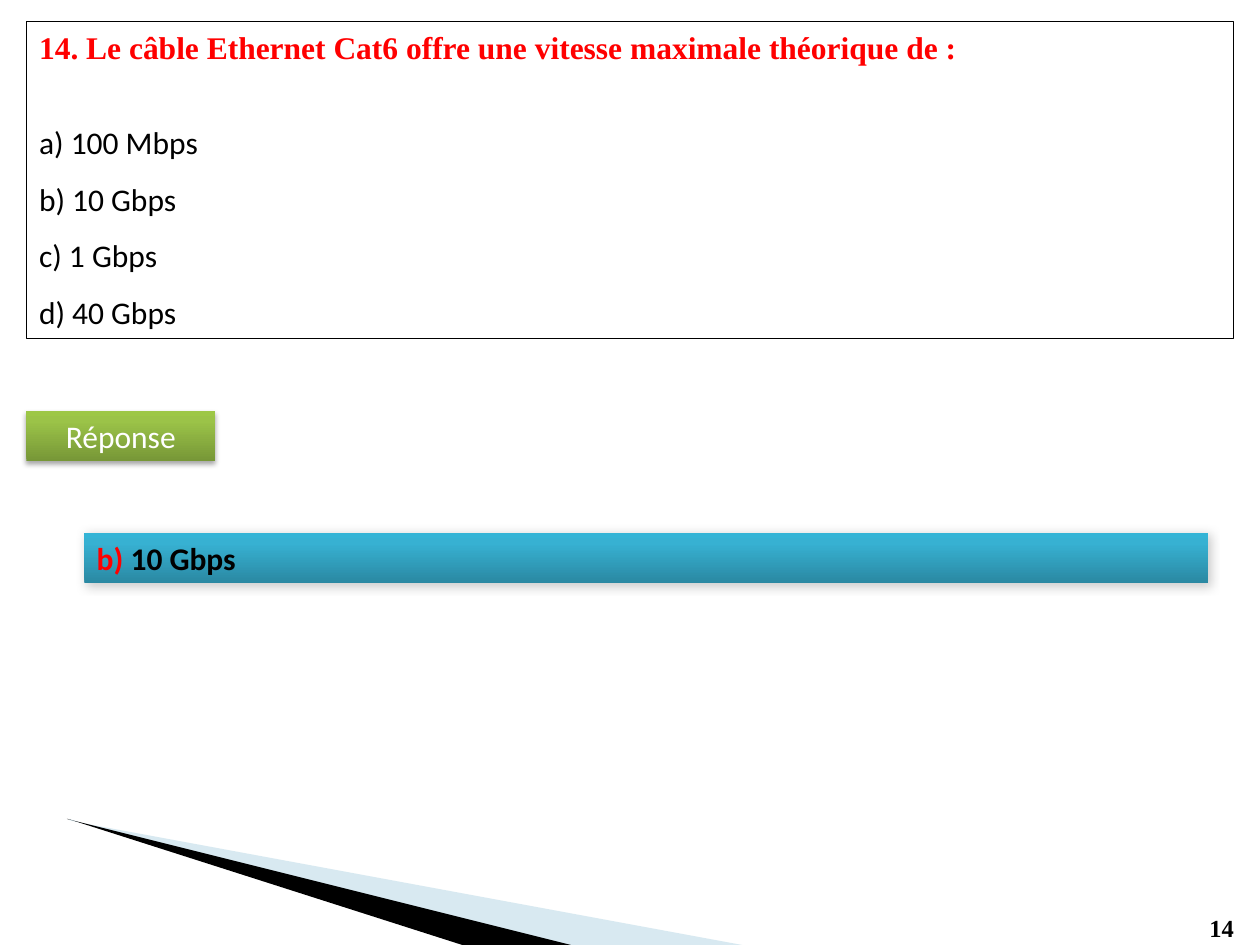
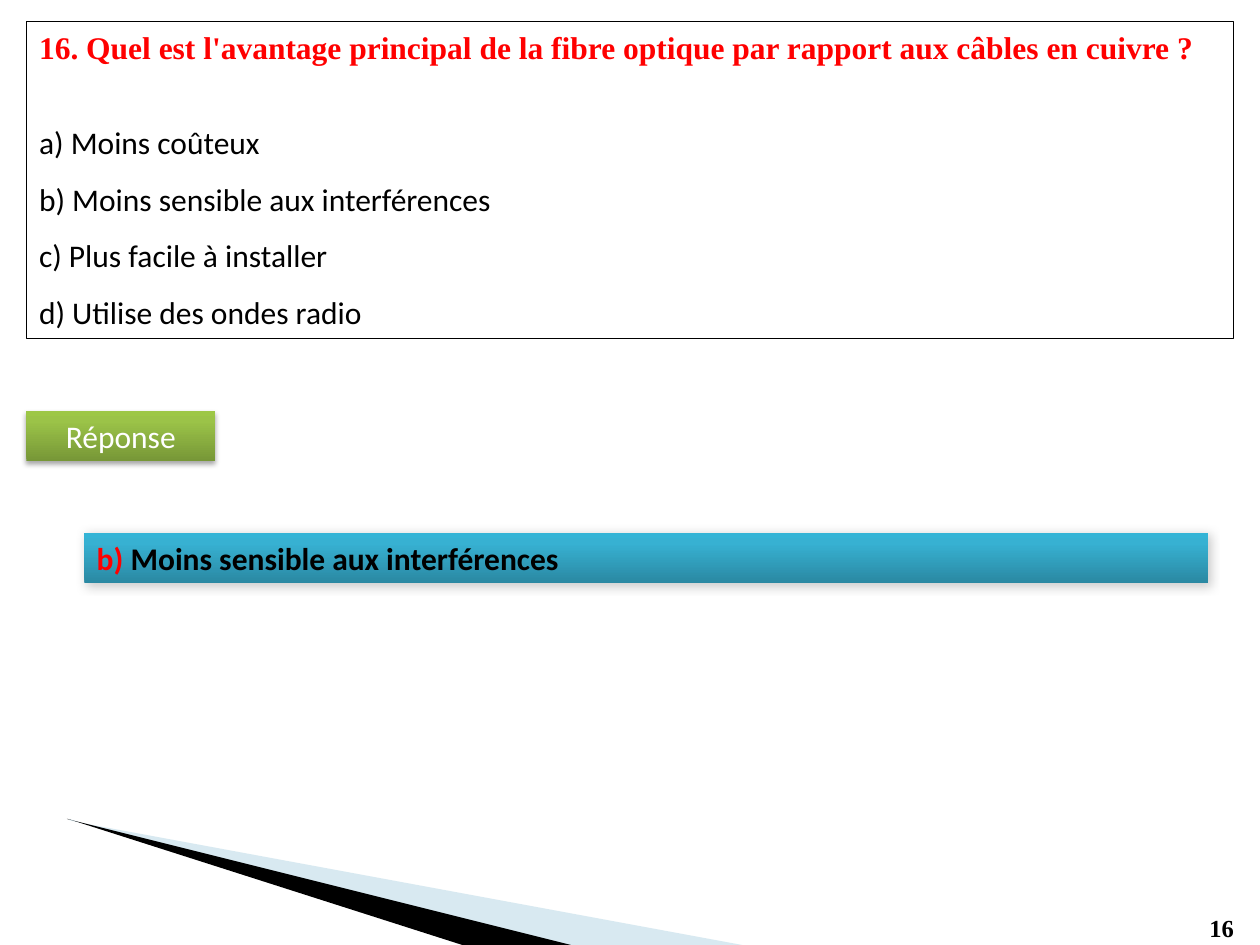
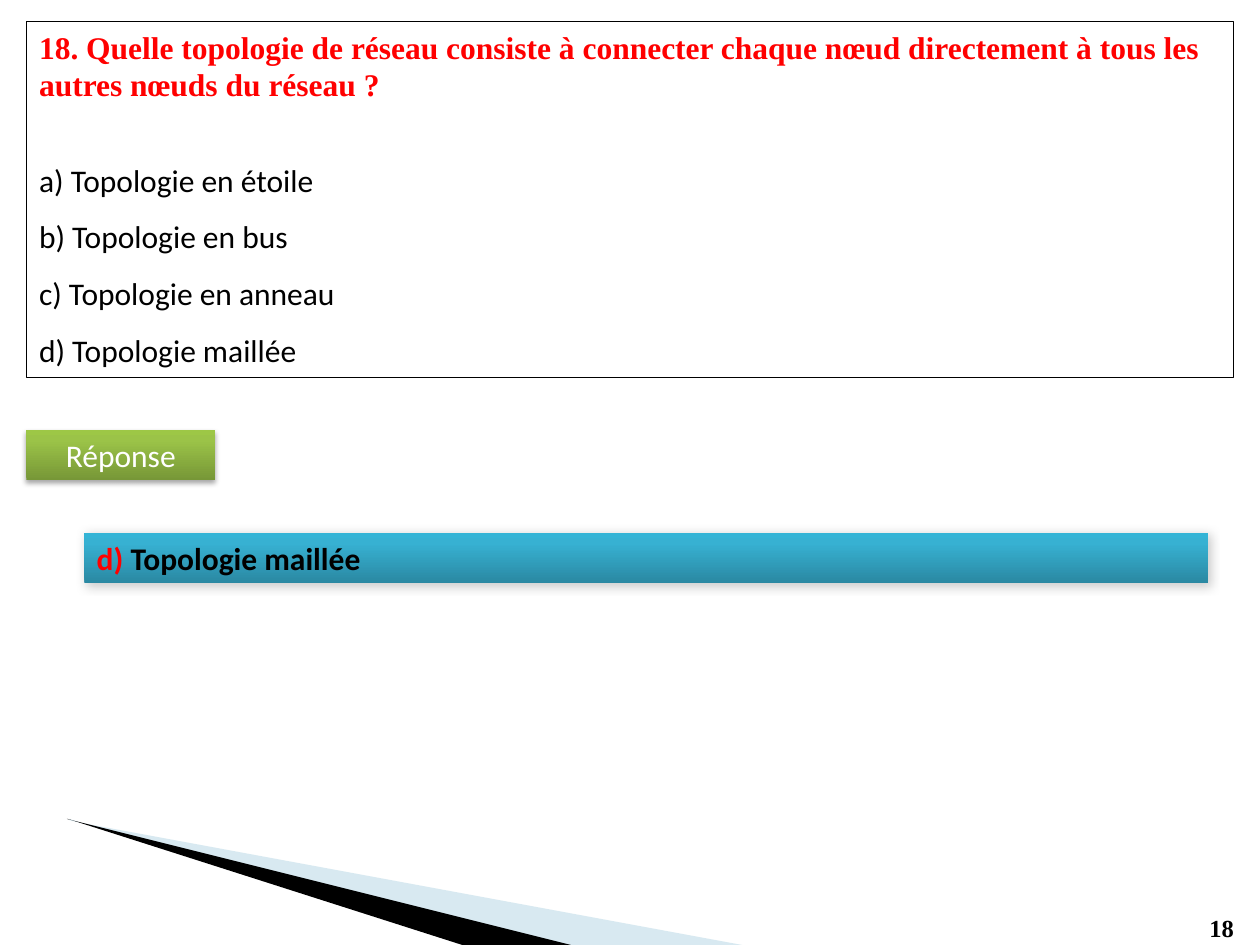
from dataclasses import dataclass

from pptx import Presentation
from pptx.dml.color import RGBColor
from pptx.enum.shapes import MSO_SHAPE
from pptx.enum.text import MSO_ANCHOR as ANCHOR, MSO_AUTO_SIZE as FIT, PP_ALIGN as ALIGN
from pptx.oxml import parse_xml
from pptx.oxml.ns import nsdecls
from pptx.util import Pt

QUESTIONS = [
    dict(number=14, lines=1, correct=1,
         text="Le câble Ethernet Cat6 offre une vitesse maximale théorique de :",
         options=["100 Mbps", "10 Gbps", "1 Gbps", "40 Gbps"]),
    dict(number=16, lines=1, correct=1,
         text="Quel est l'avantage principal de la fibre optique par rapport aux câbles en cuivre ?",
         options=["Moins coûteux", "Moins sensible aux interférences",
                  "Plus facile à installer", "Utilise des ondes radio"]),
    dict(number=18, lines=2, correct=3,
         text="Quelle topologie de réseau consiste à connecter chaque nœud directement "
              "à tous les autres nœuds du réseau ?",
         options=["Topologie en étoile", "Topologie en bus",
                  "Topologie en anneau", "Topologie maillée"]),
]
BUTTON_TEXT = "Réponse"
LETTERS = "abcd"


@dataclass(frozen=True)
class Theme:
    black: str = "000000"
    red: str = "FF0000"
    white: str = "FFFFFF"
    pale: str = "9FCADC"
    green: tuple = ((0, "779737"), (80, "9BC348"), (100, "9DC746"))
    blue: tuple = ((0, "2A88A2"), (80, "37B1D2"), (100, "34B4D6"))
    button_shadow: tuple = (35, 3.1, 1.8, 90)
    answer_shadow: tuple = (20, 6, 1, 45)
    serif: str = "Times New Roman"
    sans: str = "Calibri"
    body: int = 18
    small: int = 14


T = Theme()
SLIDE_W, SLIDE_H = 720, 540
BOX_X, BOX_Y, BOX_W = 15.1, 12.2, 689.8
BOX_H, LINE_H, OPTIONS_GAP = 181.4, 22, 22
BUTTON_W, BAR_H = 108, 28.8
ANSWER_X, ANSWER_Y, ANSWER_W = 48.2, 304.6, 642.2
NUMBER_AT = (684, 518.4, 34.6, 24.5)
WEDGES = [
    (T.pale, 40, [[(46.1, 470.2), (324.7, 540), (424.1, 540)],
                  [(39.6, 468), (39.6, 468.7), (46.1, 470.2)]]),
    (T.black, 100, [[(38.2, 468), (38.9, 468), (264.2, 540), (326.2, 540)]]),
]


def points(*values):
    return [Pt(v) for v in values]


def add_run(p, text, font, size, color, bold=False):
    r = p.add_run()
    r.text = text
    for name, value in dict(name=font, size=Pt(size), bold=bold).items():
        setattr(r.font, name, value)
    r.font.color.rgb = RGBColor.from_string(color)


def set_frame(tf, anchor=ANCHOR.TOP):
    for name, value in dict(word_wrap=True, auto_size=FIT.NONE, vertical_anchor=anchor).items():
        setattr(tf, name, value)


def add_wedges(slide, layout):
    for i, (color, opacity, outlines) in enumerate(WEDGES):
        builder = None
        for outline in outlines:
            start, *rest = [points(*xy) for xy in outline]
            if builder is None:
                builder = slide.shapes.build_freeform(*start, scale=1.0)
            else:
                builder.move_to(*start)
            builder.add_line_segments(rest, close=True)
        sp = builder.convert_to_shape()
        sp.shadow.inherit = False
        sp.line.fill.background()
        sp.fill.solid()
        sp.fill.fore_color.rgb = RGBColor.from_string(color)
        if opacity < 100:
            clr = sp.element.spPr.find(".//{*}solidFill/{*}srgbClr")
            clr.append(parse_xml(f'<a:alpha {nsdecls("a")} val="{opacity * 1000}"/>'))
        sp.element.nvSpPr.cNvPr.set("id", str(20 + i))
        layout.shapes.element.append(sp.element)


def add_bar(slide, at, stops, shadow, align):
    sp = slide.shapes.add_shape(MSO_SHAPE.RECTANGLE, *points(*at))
    sp.line.fill.background()
    gs = "".join(f'<a:gs pos="{pos * 1000}"><a:srgbClr val="{color}"/></a:gs>'
                 for pos, color in stops)
    sp.element.spPr.find("{*}ln").addprevious(parse_xml(
        f'<a:gradFill {nsdecls("a")} rotWithShape="1"><a:gsLst>{gs}</a:gsLst>'
        '<a:lin ang="16200000" scaled="0"/></a:gradFill>'))
    opacity, blur, dist, angle = shadow
    sp.element.spPr.append(parse_xml(
        f'<a:effectLst {nsdecls("a")}><a:outerShdw blurRad="{Pt(blur)}" dist="{Pt(dist)}" '
        f'dir="{angle * 60000}" rotWithShape="0"><a:srgbClr val="{T.black}">'
        f'<a:alpha val="{opacity * 1000}"/></a:srgbClr></a:outerShdw></a:effectLst>'))
    set_frame(sp.text_frame, ANCHOR.MIDDLE)
    p = sp.text_frame.paragraphs[0]
    p.alignment = align
    return p


def add_question(slide, question, height):
    sp = slide.shapes.title
    sp.left, sp.top, sp.width, sp.height = points(BOX_X, BOX_Y, BOX_W, height)
    sp.line.color.rgb = RGBColor.from_string(T.black)
    sp.line.width = Pt(0.75)
    tf = sp.text_frame
    set_frame(tf)
    p = tf.paragraphs[0]
    p.alignment = ALIGN.LEFT
    add_run(p, f"{question['number']}. {question['text']}", T.serif, T.body, T.red, True)
    for i, option in enumerate(question["options"]):
        p = tf.add_paragraph()
        p.alignment, p.line_spacing = ALIGN.LEFT, 1.5
        p.space_before = Pt(0 if i else OPTIONS_GAP)
        add_run(p, f"{LETTERS[i]}) {option}", T.sans, T.body, T.black)


def add_slide(prs, layout, question):
    slide = prs.slides.add_slide(layout)
    tf = slide.shapes.add_textbox(*points(*NUMBER_AT)).text_frame
    set_frame(tf)
    add_run(tf.paragraphs[0], str(question["number"]), T.serif, T.small, T.black, True)

    height = BOX_H + LINE_H * (question["lines"] - 1)
    add_question(slide, question, height)

    button_y = (BOX_Y + height + ANSWER_Y - BAR_H) / 2
    p = add_bar(slide, (BOX_X, button_y, BUTTON_W, BAR_H), T.green, T.button_shadow, ALIGN.CENTER)
    add_run(p, BUTTON_TEXT, T.sans, T.body, T.white)

    correct = question["correct"]
    p = add_bar(slide, (ANSWER_X, ANSWER_Y, ANSWER_W, BAR_H), T.blue, T.answer_shadow, ALIGN.JUSTIFY)
    add_run(p, f"{LETTERS[correct]}) ", T.sans, T.body, T.red, True)
    add_run(p, question["options"][correct], T.sans, T.body, T.black, True)
    return slide


def main():
    prs = Presentation()
    prs.slide_width, prs.slide_height = points(SLIDE_W, SLIDE_H)
    layout = prs.slide_layouts.get_by_name("Title Only")
    slides = [add_slide(prs, layout, question) for question in QUESTIONS]
    add_wedges(slides[0], layout)
    prs.save("out.pptx")


if __name__ == "__main__":
    main()
